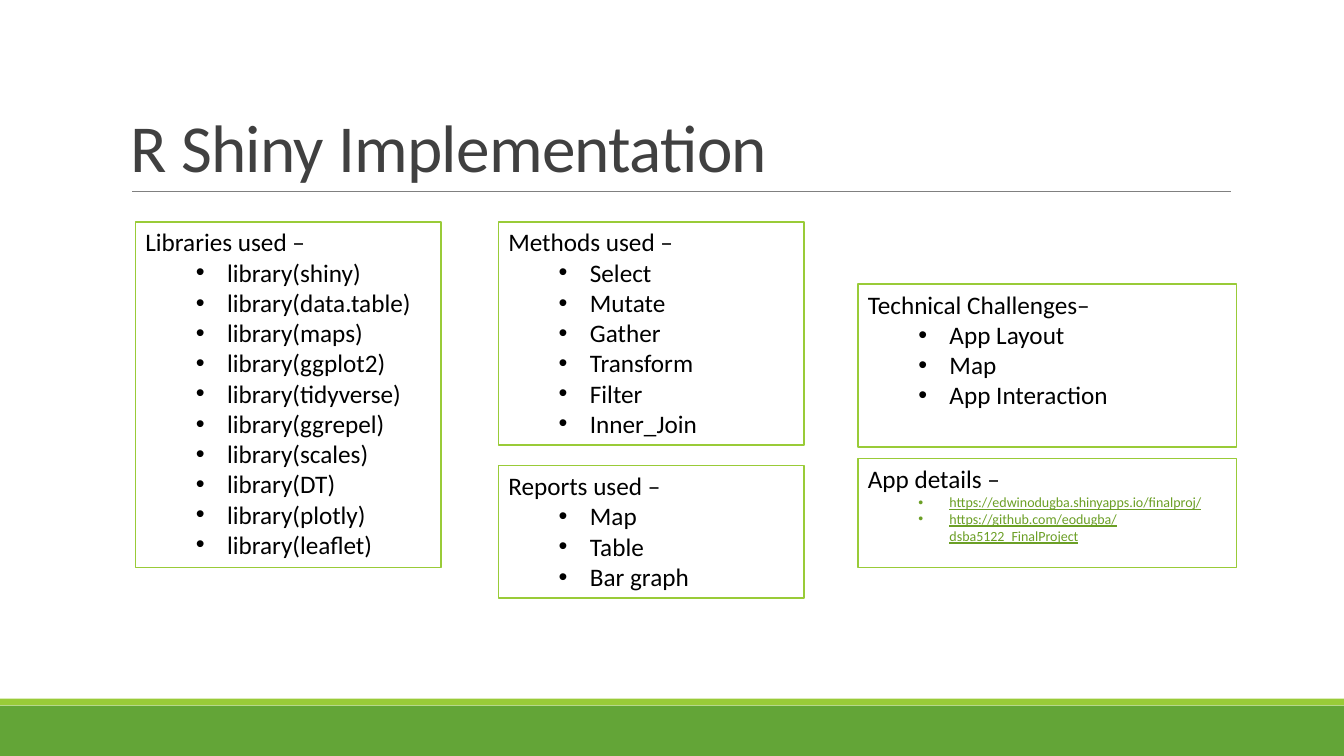
from lxml.etree import SubElement
from pptx import Presentation
from pptx.dml.color import RGBColor
from pptx.enum.shapes import MSO_CONNECTOR, MSO_SHAPE
from pptx.enum.text import MSO_ANCHOR, PP_ALIGN
from pptx.oxml.ns import qn
from pptx.util import Inches, Pt

COLORS = {
    "footer": "63A537",
    "accent": "99CB38",
    "rule": "808080",
    "title": "404040",
    "text": "000000",
    "link": "6B9F25",
    "panel": "FFFFFF",
}
FONT = "Calibri"
WIDTH, HEIGHT = Inches(13.333), Inches(7.5)
COLUMN, ROW = WIDTH / 12, HEIGHT / 12

LEFT, MIDDLE, RIGHT = (1.21, 2.73), (4.45, 2.73), (7.66, 3.38)
LIBRARIES = ["shiny", "data.table", "maps", "ggplot2", "tidyverse",
             "ggrepel", "scales", "DT", "plotly", "leaflet"]
PANELS = [
    (LEFT, 3.52, 5.49, "Libraries used –", [f"library({name})" for name in LIBRARIES]),
    (MIDDLE, 3.52, 3.55, "Methods used –",
     ["Select", "Mutate", "Gather", "Transform", "Filter", "Inner_Join"]),
    (MIDDLE, 7.39, 2.1, "Reports used –", ["Map", "Table", "Bar graph"]),
    (RIGHT, 4.51, 2.59, "Technical Challenges–", ["App Layout", "Map", "App Interaction"]),
]
LINKS = ["https://edwinodugba.shinyapps.io/finalproj/",
         "https://github.com/eodugba/dsba5122_FinalProject"]


def color(name):
    return RGBColor.from_string(COLORS[name])


def place(left, top, width, height):
    return (round(left * COLUMN), round(top * ROW),
            round(width * COLUMN), round(height * ROW))


def style(paragraph, size, color_name):
    paragraph.font.name = FONT
    paragraph.font.size = Pt(size)
    paragraph.font.color.rgb = color(color_name)


def add_rectangle(slide, box, fill):
    shape = slide.shapes.add_shape(MSO_SHAPE.RECTANGLE, *place(*box))
    shape.shadow.inherit = False
    shape.fill.solid()
    shape.fill.fore_color.rgb = color(fill)
    shape.line.fill.background()
    return shape


def add_footer(slide, left, top, width, height):
    strip = height * 0.12
    add_rectangle(slide, (left, top + strip, width, height - strip), "footer")
    add_rectangle(slide, (left, top, width, strip), "accent")


def add_title(slide, left, top, width, height):
    rule_left, rule_top, rule_width, _ = place(left + 0.1, top + height, width - 0.09, 0)
    rule = slide.shapes.add_connector(
        MSO_CONNECTOR.STRAIGHT, rule_left, rule_top, rule_left + rule_width, rule_top)
    rule.line.color.rgb = color("rule")
    rule.line.width = Pt(0.5)
    SubElement(rule._element.spPr, qn("a:effectLst"))

    frame = slide.shapes.add_textbox(*place(left, top, width, height)).text_frame
    frame.word_wrap = True
    frame.vertical_anchor = MSO_ANCHOR.BOTTOM
    paragraph = frame.paragraphs[0]
    paragraph.text = "R Shiny Implementation"
    paragraph.line_spacing = 0.85
    style(paragraph, 48, "title")
    paragraph.runs[0]._r.get_or_add_rPr().set("spc", "-50")


def add_panel(slide, left, top, width, height, heading, items, size=18, item_color="text"):
    shape = add_rectangle(slide, (left, top, width, height), "panel")
    shape.line.color.rgb = color("accent")
    shape.line.width = Pt(1.25)
    frame = shape.text_frame
    frame.word_wrap = True
    frame.vertical_anchor = MSO_ANCHOR.TOP
    first = frame.paragraphs[0]
    first.text = heading
    first.alignment = PP_ALIGN.LEFT
    style(first, 18, "text")
    for item in items:
        paragraph = frame.add_paragraph()
        paragraph.text = item
        paragraph.level = 1
        paragraph.alignment = PP_ALIGN.LEFT
        properties = paragraph._p.get_or_add_pPr()
        properties.set("marL", str(Inches(0.81)))
        properties.set("indent", str(Inches(-0.31)))
        SubElement(properties, qn("a:buFont"), typeface="Arial")
        SubElement(properties, qn("a:buChar"), char="•")
        style(paragraph, size, item_color)
    return frame


def add_links_panel(slide, left, top, width, height):
    frame = add_panel(slide, left, top, width, height, "App details –", LINKS, 10, "link")
    for paragraph in frame.paragraphs[1:]:
        paragraph.runs[0].font.underline = True


def main():
    presentation = Presentation()
    presentation.slide_width, presentation.slide_height = WIDTH, HEIGHT
    slide = presentation.slides.add_slide(presentation.slide_layouts[6])
    add_footer(slide, 0, 11.09, 12, 0.91)
    add_title(slide, 1.08, 0.5, 9.9, 2.54)
    for (left, width), top, height, heading, items in PANELS:
        add_panel(slide, left, top, width, height, heading, items)
    add_links_panel(slide, RIGHT[0], 7.28, RIGHT[1], 1.73)
    presentation.save("out.pptx")


if __name__ == "__main__":
    main()
